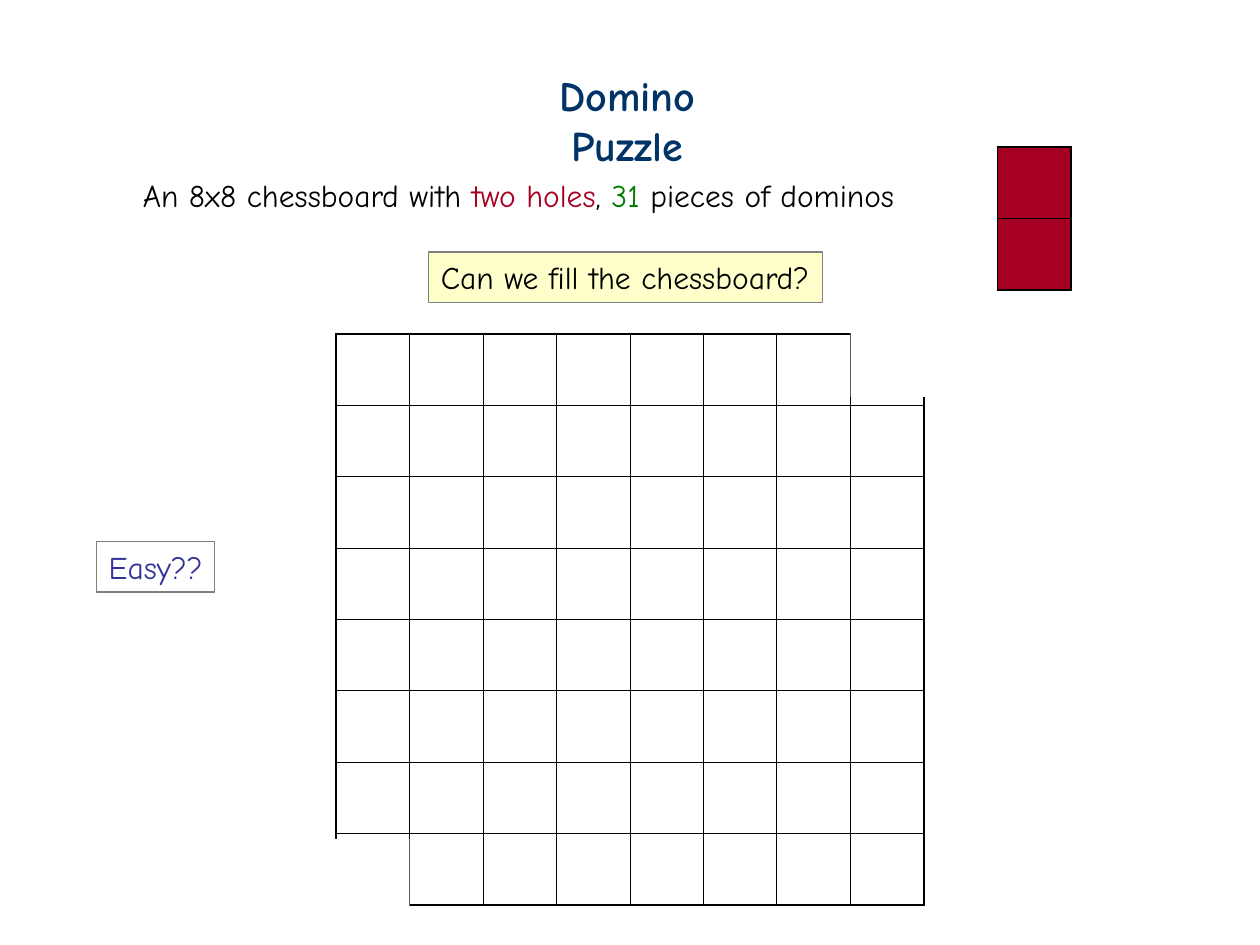
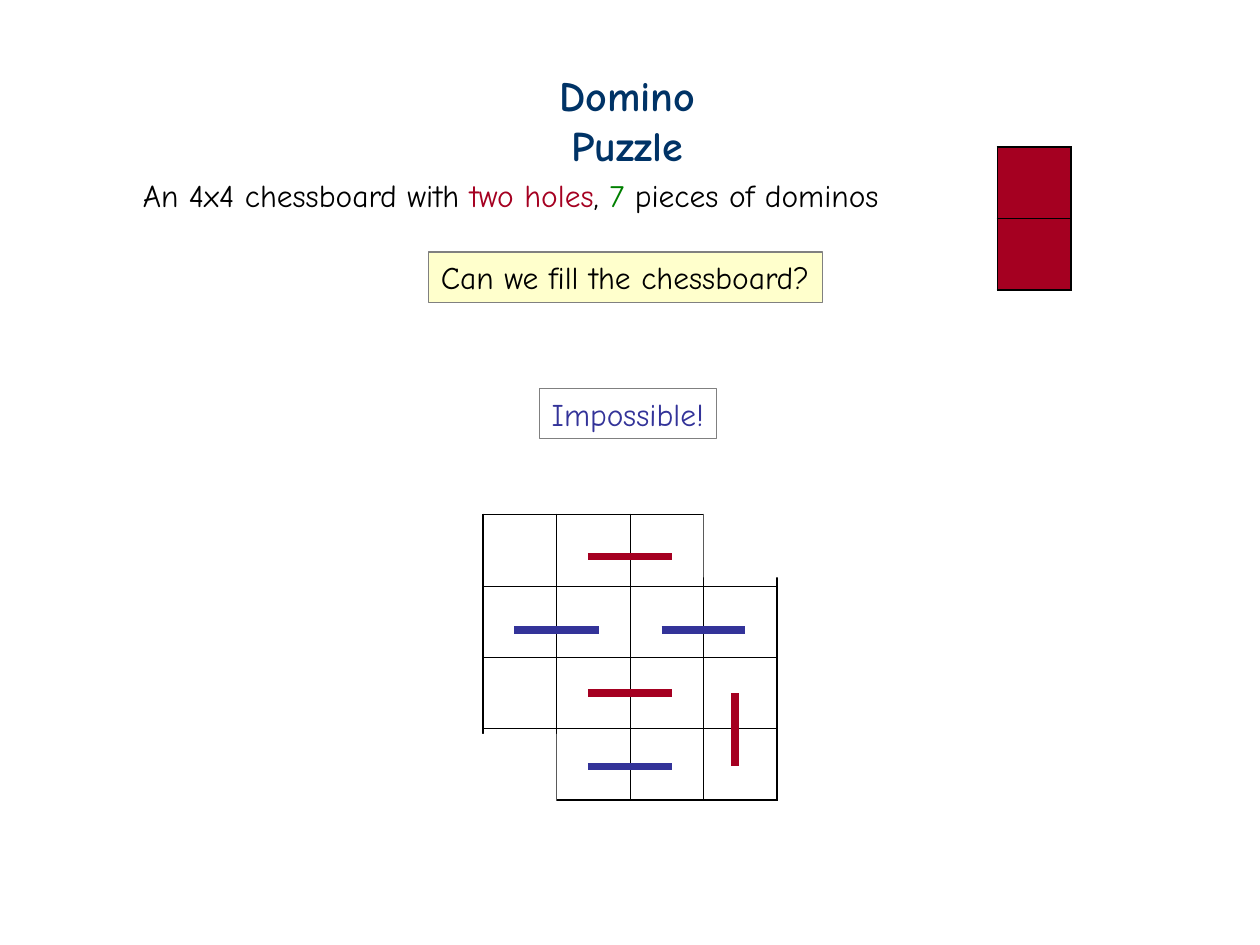
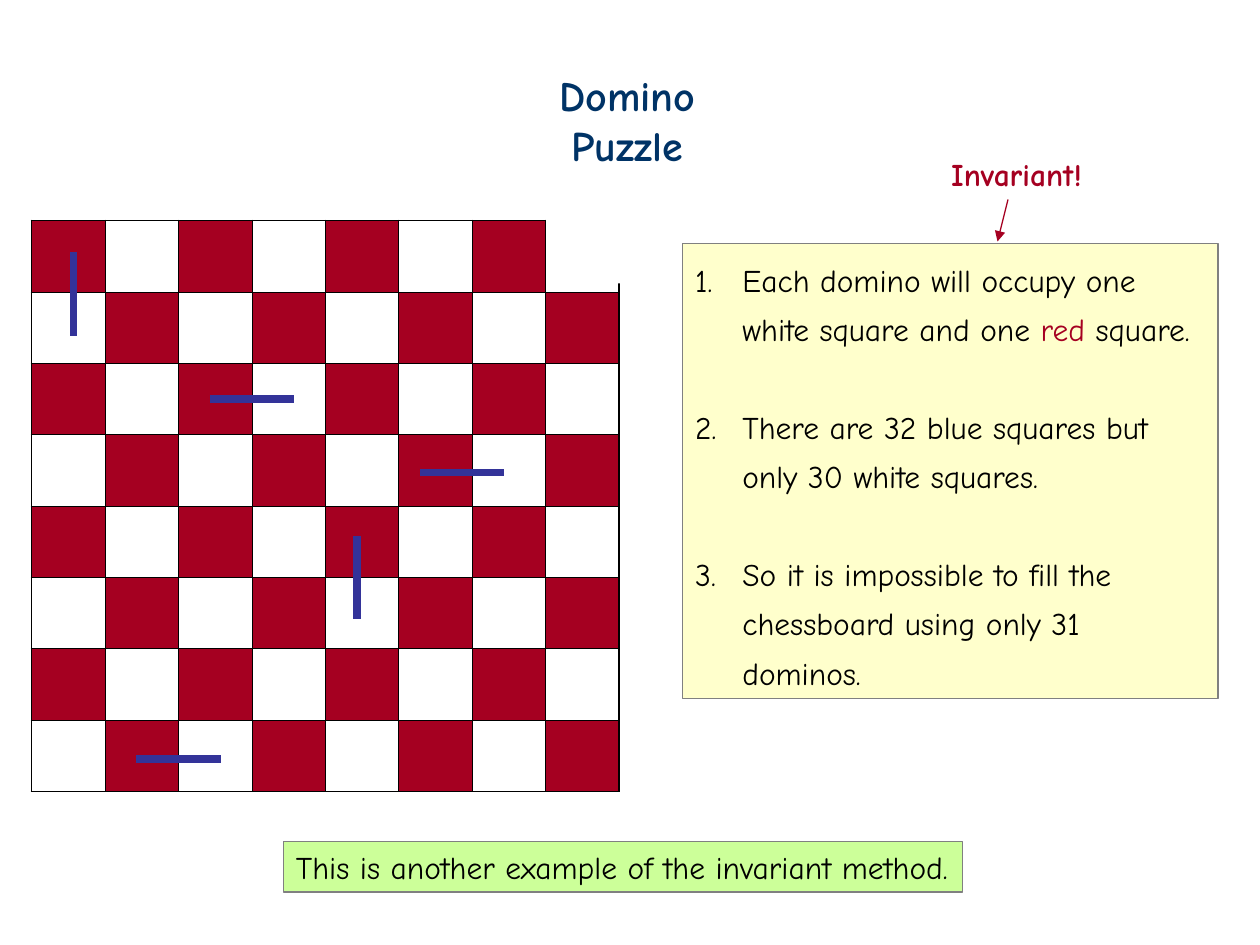
import pptx
import pptx.dml.color
import pptx.enum.shapes
import pptx.enum.text
import pptx.oxml
import pptx.oxml.ns
import pptx.util

Pt = pptx.util.Pt

FONT = "Comic Neue"
NAVY, RED, BLUE, GREEN = "003366", "A50021", "333399", "008000"
BLACK, WHITE, GREY = "000000", "FFFFFF", "808080"
YELLOW, LIME = "FFFFCC", "CCFF99"

CELL_WIDTH, CELL_HEIGHT = 42, 40.8
THIN, THICK = 0.45, 1.08
DOMINO_LENGTH = 48
TITLE_ONLY, TITLE_AND_BODY = 5, 1


def colour(value):
    return pptx.dml.color.RGBColor.from_string(value)


def append_xml(parent, xml):
    namespace = pptx.oxml.ns.nsdecls("a")
    tag, rest = xml.split(" ", 1)
    parent.append(pptx.oxml.parse_xml(f"{tag} {namespace} {rest}"))


def place(box, left, top, width, height):
    box.left, box.top, box.width, box.height = map(Pt, (left, top, width, height))


def paint(box, fill, line=None):
    box.fill.solid()
    box.fill.fore_color.rgb = colour(fill)
    if line:
        box.line.color.rgb = colour(line)
        box.line.width = Pt(0.75)
    else:
        box.line.fill.background()


def set_frame(frame, wrap):
    frame.word_wrap = wrap
    frame.auto_size = pptx.enum.text.MSO_AUTO_SIZE.NONE
    frame.vertical_anchor = pptx.enum.text.MSO_ANCHOR.TOP


def write(para, spans, size=18, bold=False, align=pptx.enum.text.PP_ALIGN.LEFT):
    """Fill a paragraph with (text, colour) spans."""
    para.alignment = align
    for text, value in spans:
        span = para.add_run()
        span.text = text
        span.font.name = FONT
        span.font.size = Pt(size)
        span.font.bold = bold
        span.font.color.rgb = colour(value)


def add_page(deck, layout=TITLE_ONLY):
    page = deck.slides.add_slide(deck.slide_layouts[layout])
    title = page.shapes.title
    place(title, 276.5, 36, 164, 36)
    set_frame(title.text_frame, wrap=False)
    write(title.text_frame.paragraphs[0], [("Domino Puzzle", NAVY)], size=24,
          bold=True, align=pptx.enum.text.PP_ALIGN.CENTER)
    return page


def add_text(page, left, top, width, spans, bold=False):
    box = page.shapes.add_textbox(Pt(left), Pt(top), Pt(width), Pt(28.8))
    set_frame(box.text_frame, wrap=False)
    write(box.text_frame.paragraphs[0], spans, bold=bold)
    return box


def add_label(page, left, top, width, text, text_colour=BLACK, fill=WHITE):
    box = add_text(page, left, top, width, [(text, text_colour)])
    paint(box, fill, GREY)


def add_grid(page, left, top, columns, rows, is_red):
    """Draw squares with a thick outer edge, red where is_red(row, column)."""
    frame = page.shapes.add_table(rows, columns, Pt(left), Pt(top),
                                  Pt(columns * CELL_WIDTH), Pt(rows * CELL_HEIGHT))
    grid = frame.table
    grid.first_row = grid.horz_banding = False
    for column in grid.columns:
        column.width = Pt(CELL_WIDTH)
    for row in grid.rows:
        row.height = Pt(CELL_HEIGHT)
    for r in range(rows):
        for c in range(columns):
            cell = grid.cell(r, c)
            outer = {"L": c == 0, "R": c == columns - 1, "T": r == 0, "B": r == rows - 1}
            properties = cell._tc.get_or_add_tcPr()
            for side, is_outer in outer.items():
                width = Pt(THICK if is_outer else THIN)
                append_xml(properties, f'<a:ln{side} w="{width}"><a:solidFill>'
                           f'<a:srgbClr val="{BLACK}"/></a:solidFill></a:ln{side}>')
            if is_red(r, c):
                cell.fill.solid()
                cell.fill.fore_color.rgb = colour(RED)
            else:
                cell.fill.background()


def add_hole(page, left, top):
    hole = page.shapes.add_shape(pptx.enum.shapes.MSO_SHAPE.RECTANGLE,
                                 Pt(left), Pt(top), Pt(48), Pt(42))
    hole.shadow.inherit = False
    paint(hole, WHITE)


def add_board(page, left, top, size, is_red=lambda row, column: False, two_holes=True):
    add_grid(page, left, top, size, size, is_red)
    last = size - 1
    add_hole(page, left + last * CELL_WIDTH, top - 6)
    if two_holes:
        add_hole(page, left - 6, top + last * CELL_HEIGHT + 3)


def add_line(page, start, end, value, width, arrow=False):
    line = page.shapes.add_connector(pptx.enum.shapes.MSO_CONNECTOR.STRAIGHT,
                                     *map(Pt, (*start, *end)))
    line.line.color.rgb = colour(value)
    line.line.width = Pt(width)
    if arrow:
        append_xml(line.line._get_or_add_ln(), '<a:tailEnd type="triangle"/>')
    append_xml(line._element.spPr, "<a:effectLst />")


def add_domino(page, left, top, value=BLUE, across=DOMINO_LENGTH, down=0):
    add_line(page, (left, top), (left + across, top + down), value, 4.5)


def add_numbered_list(page, items):
    body = page.placeholders[1]
    place(body, 390, 139, 306, 260)
    paint(body, YELLOW, GREY)
    frame = body.text_frame
    set_frame(frame, wrap=True)
    for index, spans in enumerate(items):
        para = frame.add_paragraph() if index else frame.paragraphs[0]
        write(para, spans)
        para.line_spacing = 1.3
        para.space_before = Pt(0)
        para.space_after = Pt(28)
        properties = para._p.get_or_add_pPr()
        properties.set("marL", str(Pt(27)))
        properties.set("indent", str(-Pt(27)))
        append_xml(properties, f'<a:buClr ><a:srgbClr val="{BLACK}"/></a:buClr>')
        append_xml(properties, f'<a:buFont typeface="{FONT}"/>')
        append_xml(properties, '<a:buAutoNum type="arabicPeriod"/>')


def add_puzzle(page, size, pieces, width):
    """State the question and show one domino beside it."""
    add_text(page, 74.5, 97.2, width, [
        (f"An {size}x{size} chessboard with ", BLACK), ("two holes", RED), (", ", BLACK),
        (str(pieces), GREEN), (" pieces of dominos", BLACK)])
    add_grid(page, 570, 84, 1, 2, lambda row, column: True)
    add_label(page, 244.8, 144, 225.4, "Can we fill the chessboard?", fill=YELLOW)


def build_large_board(deck):
    page = add_page(deck)
    add_puzzle(page, 8, 31, 444)
    add_board(page, 192, 190.8, 8)
    add_label(page, 55, 309.5, 67.5, "Easy??", BLUE)


def build_small_board(deck):
    page = add_page(deck)
    add_puzzle(page, 4, 7, 435.6)
    add_board(page, 276, 294, 4)
    add_label(page, 308.2, 222, 101.3, "Impossible!", BLUE)
    for left, top, value in [(336, 318, RED), (294, 360, BLUE), (378, 360, BLUE),
                             (336, 396, RED), (336, 438, BLUE)]:
        add_domino(page, left, top, value)
    add_domino(page, 420, 396, RED, across=0, down=42)


def build_invariant(deck):
    page = add_page(deck, TITLE_AND_BODY)
    add_board(page, 18, 126, 8, lambda row, column: (row + column) % 2 == 0,
              two_holes=False)
    for left, top in [(120, 228), (240, 270), (78, 433.5)]:
        add_domino(page, left, top)
    for left, top in [(42, 144), (204, 306)]:
        add_domino(page, left, top, across=0, down=DOMINO_LENGTH)
    add_numbered_list(page, [
        [("Each domino will occupy one white square and one ", BLACK), ("red", RED),
         (" square.", BLACK)],
        [("There are 32 blue squares but only 30 white squares.", BLACK)],
        [("So it is impossible to fill the chessboard using only 31 dominos.", BLACK)],
    ])
    add_text(page, 536.4, 85, 89.3, [("Invariant!", RED)], bold=True)
    add_line(page, (576, 114), (570, 138), RED, 0.75, arrow=True)
    add_label(page, 162, 481, 388, "This is another example of the invariant method.",
              fill=LIME)


def main():
    deck = pptx.Presentation()
    deck.slide_width, deck.slide_height = Pt(720), Pt(540)
    build_large_board(deck)
    build_small_board(deck)
    build_invariant(deck)
    deck.save("out.pptx")


if __name__ == "__main__":
    main()
